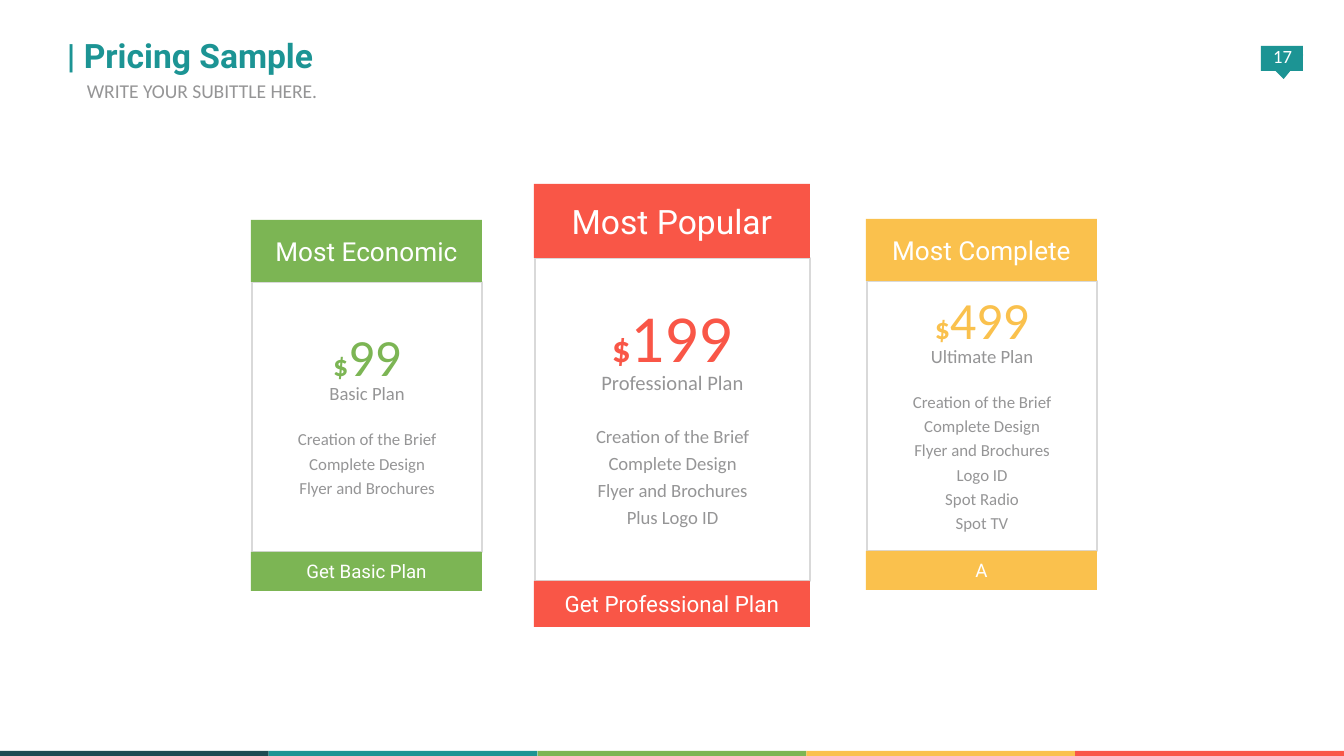
"""Build a pricing slide with three plan cards."""
from pptx import Presentation, util as u
from pptx.dml.color import RGBColor
from pptx.enum import shapes, text

TEAL, GREEN, YELLOW, RED = "1C9494", "7CB554", "FAC14D", "F95647"
GREY, WHITE, BORDER = "959596", "FFFFFF", "D9D9D9"
STRIPES = ["1D4A53", TEAL, GREEN, YELLOW, RED]
FEATURES = ["Creation of the Brief", "Complete Design", "Flyer and Brochures"]
LARGE = dict(w=276, heights=(74, 323, 46), head=18, sign=20, price=36,
             plan=11, gap=14, item=10, foot=12)
SMALL = dict(w=231, heights=(62, 270, 39), head=14, sign=16, price=28,
             plan=10, gap=11, item=9, foot=10)
CARDS = [
    (534, 184, LARGE, RED, "Most Popular", "199", "Professional Plan",
     FEATURES + ["Plus Logo ID"], "Get Professional Plan"),
    (251, 220, SMALL, GREEN, "Most Economic", "99", "Basic Plan",
     FEATURES, "Get Basic Plan"),
    (866, 219, SMALL, YELLOW, "Most Complete", "499", "Ultimate Plan",
     FEATURES + ["Logo ID", "Spot Radio", "Spot TV"], "A"),
]
W, H = 1344, 756
CENTER = text.PP_ALIGN.CENTER


def px(n):
    return u.Emu(round(n * 914400 / 134.4))


def rgb(color):
    return RGBColor.from_string(color)


def add_shape(s, box, fill, line=None, kind=shapes.MSO_SHAPE.RECTANGLE):
    sp = s.shapes.add_shape(kind, *map(px, box))
    sp.shadow.inherit = False
    sp.fill.solid()
    sp.fill.fore_color.rgb = rgb(fill)
    if line:
        sp.line.color.rgb = rgb(line)
        sp.line.width = u.Pt(0.75)
    else:
        sp.line.fill.background()
    return sp


def write(sp, paragraphs, align=CENTER, anchor=text.MSO_ANCHOR.MIDDLE, insets=None):
    tf = sp.text_frame
    tf.word_wrap = True
    tf.auto_size = text.MSO_AUTO_SIZE.NONE
    tf.vertical_anchor = anchor
    if insets:
        tf.margin_left, tf.margin_top, tf.margin_right, tf.margin_bottom = map(px, insets)
    for i, (runs, spacing, after) in enumerate(paragraphs):
        p = tf.add_paragraph() if i else tf.paragraphs[0]
        p.alignment = align
        p.line_spacing = spacing
        p.space_before, p.space_after = u.Pt(0), u.Pt(after)
        for words, size, color, font, bold in runs:
            r = p.add_run()
            r.text = words
            r.font.size, r.font.name, r.font.bold = u.Pt(size), font, bold
            r.font.color.rgb = rgb(color)


def line_of(words, size, color, font="Calibri", bold=False, spacing=1.0, after=0):
    return [(words, size, color, font, bold)], spacing, after


def add_card(s, x, y, k, color, heading, price, plan, features, button):
    w, (head, body, foot) = k["w"], k["heights"]
    price_line = ([("$", k["sign"], color, "Calibri", True),
                   (price, k["price"], color, "Calibri", False)], 0.8, 0)
    plan_line = line_of(plan, k["plan"], GREY, spacing=0.8, after=k["gap"])
    items = [line_of(f, k["item"], GREY, spacing=1.2) for f in features]
    write(add_shape(s, (x + 1, y + head, w - 1, body), WHITE, BORDER),
          [price_line, plan_line] + items)
    write(add_shape(s, (x, y, w, head), color),
          [line_of(heading, k["head"], WHITE, "Roboto")])
    write(add_shape(s, (x, y + head + body, w, foot), color),
          [line_of(button, k["foot"], WHITE, "Roboto")])


def main():
    prs = Presentation()
    prs.slide_width, prs.slide_height = px(W), px(H)
    s = prs.slides.add_slide(prs.slide_layouts[5])

    stripe = W / len(STRIPES)
    for i, color in enumerate(STRIPES):
        add_shape(s, (i * stripe, 751, stripe, 11), color)

    add_shape(s, (1261, 46, 42, 25), TEAL)
    pointer = add_shape(s, (1262, 56, 42, 23), TEAL,
                        kind=shapes.MSO_SHAPE.ISOSCELES_TRIANGLE)
    pointer.rotation = 176.8
    number = s.shapes.add_textbox(*map(px, (1263, 40, 39, 40)))
    write(number, [line_of("17", 10, WHITE)], insets=(0, 0, 0, 7))

    for card in CARDS:
        add_card(s, *card)

    title = s.shapes.title
    title.left, title.top, title.width, title.height = map(px, (67, 35, 1009, 54))
    subtitle = s.shapes.add_textbox(*map(px, (87, 79, 986, 39)))
    for sp, content in (
        (title, line_of("| Pricing Sample", 18, TEAL, "Roboto", True)),
        (subtitle, line_of("WRITE YOUR SUBITTLE HERE.", 10.5, GREY)),
    ):
        write(sp, [content], text.PP_ALIGN.LEFT, text.MSO_ANCHOR.TOP, (0, 0, 13, 0))

    prs.save("out.pptx")


if __name__ == "__main__":
    main()
